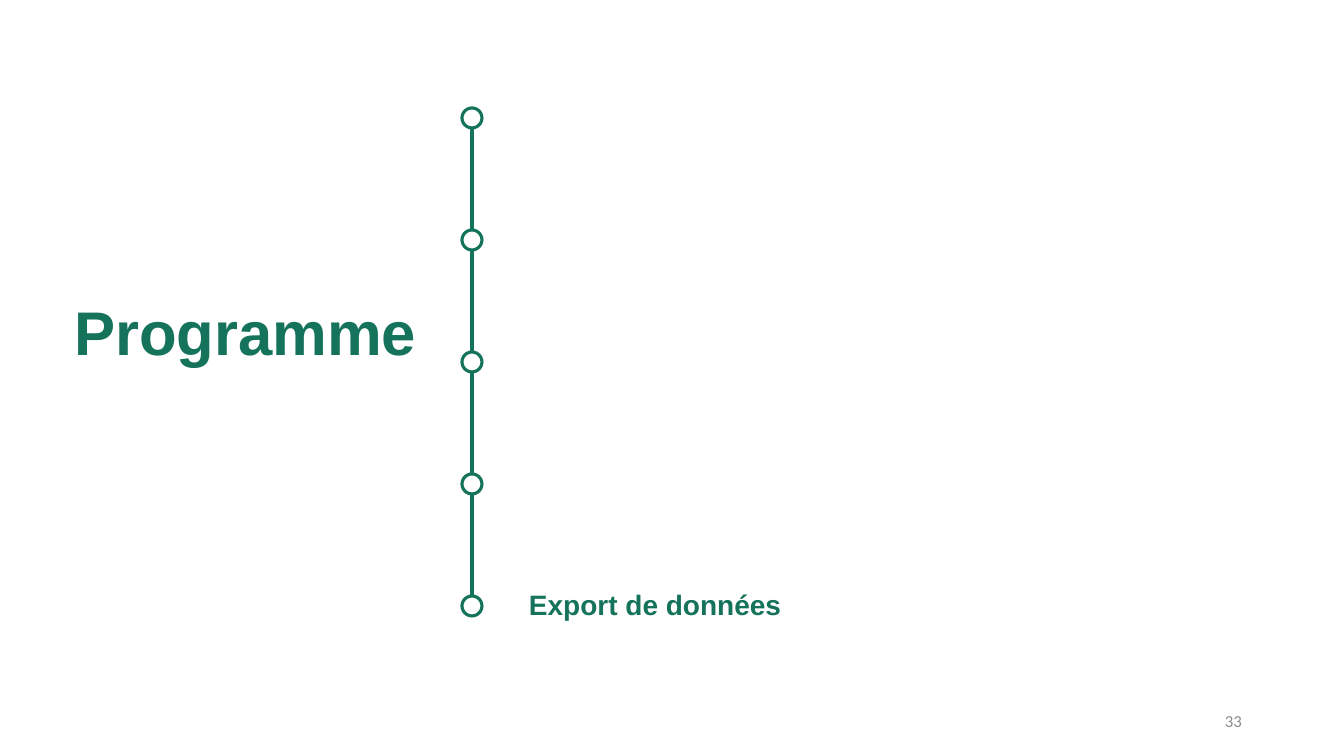
from pptx import Presentation
from pptx import util as u
from pptx.dml.color import RGBColor
from pptx.enum import shapes, text
from pptx.oxml.ns import qn
from lxml import etree

PX = 914400 / 100.8
HUES = {"green": "15735C", "grey": "8C8C8C", "white": "FFFFFF"}
STEPS = 5


def px(n):
    return u.Emu(round(n * PX))


def hue(name):
    return RGBColor.from_string(HUES[name])


def write(shape, words, size, color, face="Arial", bold=True, wrap=False,
          align=text.PP_ALIGN.LEFT, anchor=text.MSO_ANCHOR.TOP):
    frame = shape.text_frame
    frame.word_wrap = wrap
    frame.auto_size = text.MSO_AUTO_SIZE.NONE if wrap else text.MSO_AUTO_SIZE.SHAPE_TO_FIT_TEXT
    frame.vertical_anchor = anchor
    para = frame.paragraphs[0]
    para.alignment = align
    run = para.add_run()
    run.text = words
    font = run.font
    font.name, font.size, font.bold = face, u.Pt(size), bold
    font.color.rgb = hue(color)


def add_title(slide, x, y, w, h):
    title = slide.shapes.title
    title.left, title.top, title.width, title.height = map(px, (x, y, w, h))
    write(title, "Programme", 44, "green")


def add_rail(slide, x, top, end):
    rail = slide.shapes.add_connector(
        shapes.MSO_CONNECTOR.STRAIGHT, px(x), px(top), px(x), px(end))
    rail.line.color.rgb = hue("green")
    rail.line.width = u.Pt(3)
    etree.SubElement(rail._element.spPr, qn("a:effectLst"))


def add_dot(slide, x, y, size):
    dot = slide.shapes.add_shape(
        shapes.MSO_SHAPE.OVAL, px(x), px(y), px(size), px(size))
    dot.shadow.inherit = False
    dot.fill.solid()
    dot.fill.fore_color.rgb = hue("white")
    dot.line.color.rgb = hue("green")
    dot.line.width = u.Pt(2.25)


def add_steps(slide, x, y, w, h):
    """Timeline with one dot per step and a label at the last, active one."""
    size = 20
    pitch = (h - size) / (STEPS - 1)
    add_rail(slide, x + size / 2, y, y + h - 2)
    for i in range(STEPS):
        add_dot(slide, x, y + i * pitch, size)
    label = slide.shapes.add_textbox(
        px(x + 57), px(y + h - size - 13), px(w - 57), px(44))
    write(label, "Export de données", 20, "green")


def add_number(slide, x, y, w, h):
    box = slide.shapes.add_textbox(px(x), px(y), px(w), px(h))
    write(box, "33", 12, "grey", "Calibri", False, True,
          text.PP_ALIGN.RIGHT, text.MSO_ANCHOR.MIDDLE)


def main():
    deck = Presentation()
    deck.slide_width, deck.slide_height = px(1344), px(756)
    slide = deck.slides.add_slide(deck.slide_layouts[5])
    add_title(slide, 64, 289, 366, 85)
    add_steps(slide, 462, 108, 332, 508)
    add_number(slide, 950, 701, 302, 40)
    deck.save("out.pptx")


if __name__ == "__main__":
    main()
